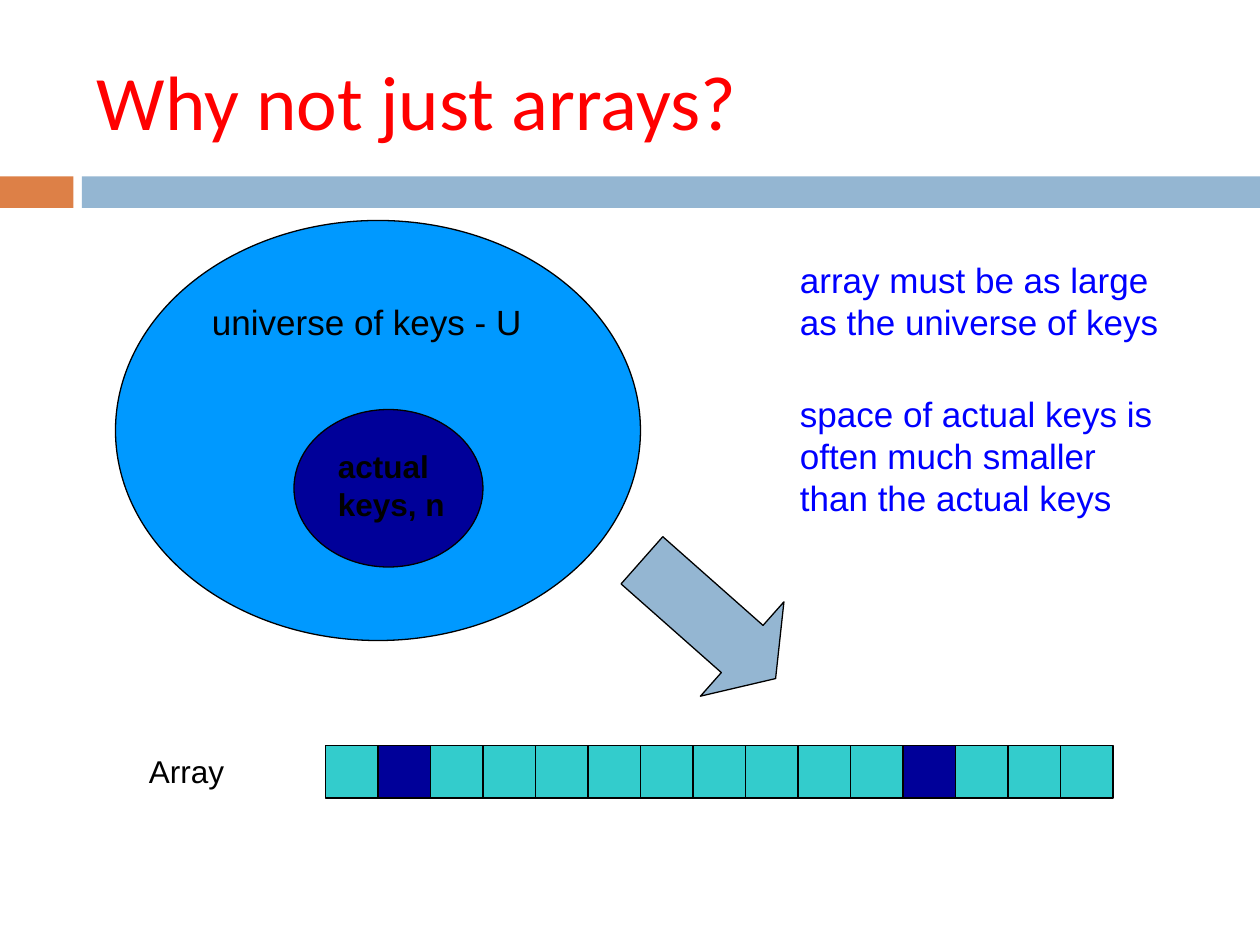
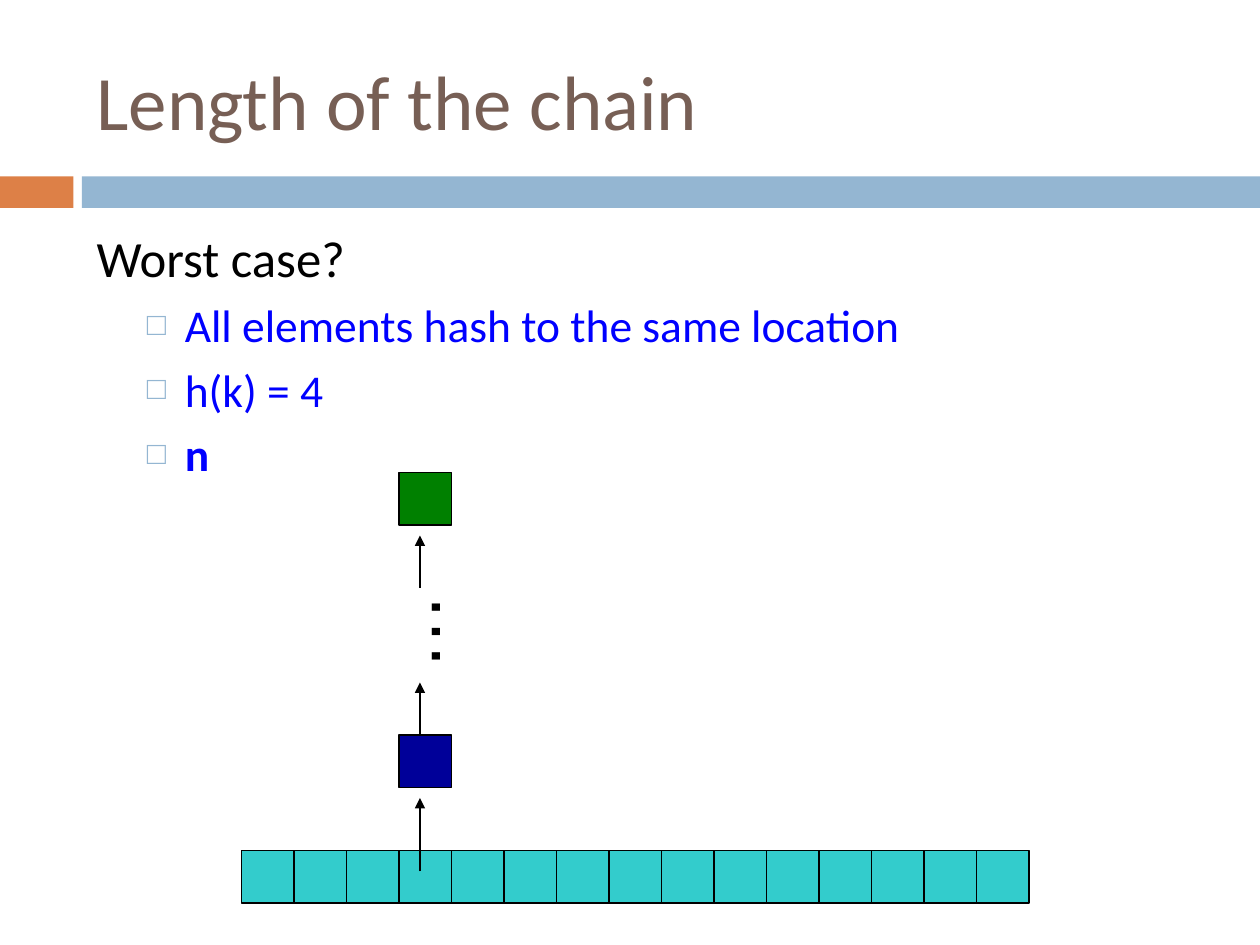
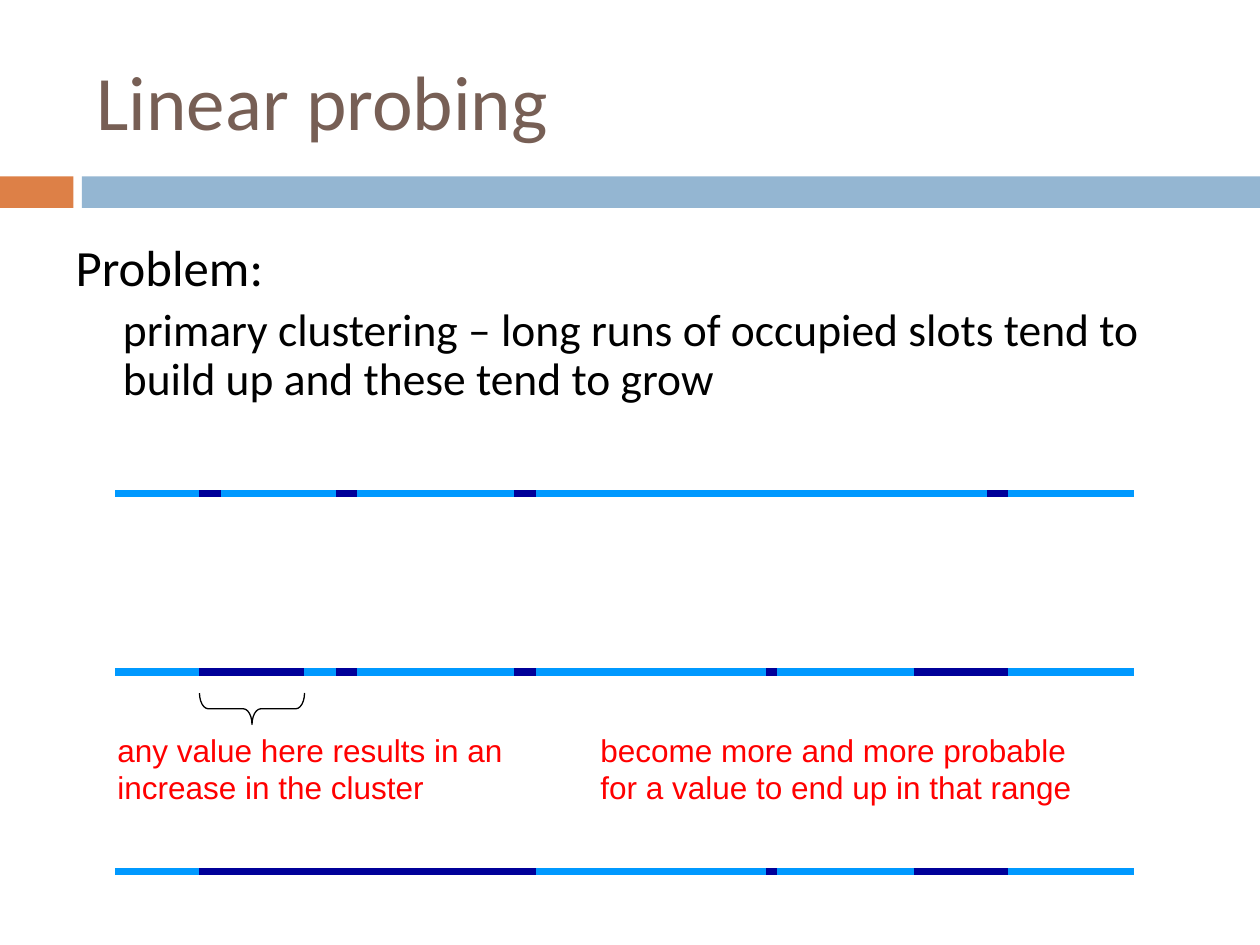
from dataclasses import dataclass

from lxml import etree
from pptx import Presentation
from pptx import util as u
from pptx.dml.color import RGBColor
from pptx.enum import shapes, text
from pptx.oxml.ns import qn


@dataclass(frozen=True)
class Theme:
    heading_font: str = "Calibri"
    label_font: str = "Arial"
    title_size: float = 44
    lead_size: float = 29
    point_size: float = 26
    caption_size: float = 20
    small_size: float = 18
    hairline: float = 0.75
    track: float = 4.5
    black: str = "000000"
    brown: str = "775F55"
    red: str = "FF0000"
    blue: str = "0000FF"
    orange: str = "DD8047"
    steel: str = "94B6D2"
    sky: str = "0099FF"
    navy: str = "000099"
    teal: str = "33CCCC"
    green: str = "008000"


theme = Theme()
PRESET = shapes.MSO_SHAPE


def draw(parent, preset, box, fill=None, outline=theme.black, rotation=0, adjust=()):
    """Add a preset shape; box is left, top, width and height in points."""
    shape = parent.shapes.add_shape(preset, *map(u.Pt, box))
    shape.shadow.inherit = False
    shape.rotation = rotation
    for index, value in enumerate(adjust):
        shape.adjustments[index] = value
    if fill:
        shape.fill.solid()
        shape.fill.fore_color.rgb = RGBColor.from_string(fill)
    else:
        shape.fill.background()
    if outline:
        shape.line.color.rgb = RGBColor.from_string(outline)
        shape.line.width = u.Pt(theme.hairline)
    else:
        shape.line.fill.background()
    return shape


def stroke(parent, ends, color=theme.black, width=theme.hairline, arrow=False):
    """Add a straight line; ends is x1, y1, x2 and y2 in points."""
    line = parent.shapes.add_connector(shapes.MSO_CONNECTOR.STRAIGHT, *map(u.Pt, ends))
    line.line.color.rgb = RGBColor.from_string(color)
    line.line.width = u.Pt(width)
    properties = line.element.spPr
    if arrow:
        etree.SubElement(properties.find(qn("a:ln")), qn("a:tailEnd"), type="triangle")
    etree.SubElement(properties, qn("a:effectLst"))


deck = Presentation()
deck.slide_width, deck.slide_height = u.Pt(720), u.Pt(540)
content_layout, title_layout = deck.slide_layouts[1], deck.slide_layouts[5]

# Slides and titles
titles = [
    (title_layout, "Why not just arrays?", theme.red),
    (content_layout, "Length of the chain", theme.brown),
    (content_layout, "Linear probing", theme.brown),
]
for layout, wording, color in titles:
    title = deck.slides.add_slide(layout).shapes.title
    title.left, title.top, title.width, title.height = map(u.Pt, (48, 18, 642, 78))
    title.text_frame.text = wording
    title.text_frame.vertical_anchor = text.MSO_ANCHOR.MIDDLE
    heading = title.text_frame.paragraphs[0]
    heading.alignment = text.PP_ALIGN.LEFT
    heading.font.name = theme.heading_font
    heading.font.size = u.Pt(theme.title_size)
    heading.font.color.rgb = RGBColor.from_string(color)
arrays, chain, probing = deck.slides

# Bands shared through the master
master_tree = deck.slide_master.element.cSld.spTree
bands = [(0, 42, theme.orange), (46.8, 673.2, theme.steel)]
for number, (left, width, color) in enumerate(bands):
    band = draw(arrays, PRESET.RECTANGLE, (left, 100.8, width, 18), color, None)
    band.element.nvSpPr.cNvPr.id = 20 + number
    master_tree.insert(2, band.element)

# Body lists: wording, level, colour, bold, bullet
bodies = [
    (chain, (48, 126, 642, 354), 1, (50.4, -21.6), [
        ("Worst case?", 0, theme.black, False, None),
        ("All elements hash to the same location", 1, theme.blue, False, "□"),
        ("h(k) = 4", 1, theme.blue, False, "□"),
        ("n", 1, theme.blue, True, "□"),
    ]),
    (probing, (36, 135, 648, 111), 0.9, (27, 0), [
        ("Problem:", 0, theme.black, False, None),
        ("primary clustering – long runs of occupied slots tend to build up "
         "and these tend to grow", 1, theme.black, False, None),
    ]),
]
for slide, box, line_spacing, indents, items in bodies:
    body = slide.placeholders[1]
    body.left, body.top, body.width, body.height = map(u.Pt, box)
    frame = body.text_frame
    frame.text = "\n".join(item[0] for item in items)
    frame.auto_size = text.MSO_AUTO_SIZE.NONE
    for paragraph, (_, level, color, bold, bullet) in zip(frame.paragraphs, items):
        paragraph.level = level
        paragraph.line_spacing = line_spacing
        paragraph.space_before = u.Pt(5.5 if level else 7)
        size = theme.point_size if level else theme.lead_size
        font_values = {"name": theme.heading_font, "size": u.Pt(size), "bold": bold}
        for attribute, value in font_values.items():
            setattr(paragraph.font, attribute, value)
        paragraph.font.color.rgb = RGBColor.from_string(color)
        properties = paragraph.element.get_or_add_pPr() if hasattr(paragraph, "element") \
            else paragraph._p.get_or_add_pPr()
        margin, hanging = indents if level else (0, 0)
        properties.set("marL", str(int(u.Pt(margin))))
        properties.set("indent", str(int(u.Pt(hanging))))
        if bullet:
            bullet_color = etree.Element(qn("a:buClr"))
            etree.SubElement(bullet_color, qn("a:srgbClr"), val=theme.steel)
            bullet_size = etree.Element(qn("a:buSzPct"), val="70000")
            bullet_mark = etree.Element(qn("a:buChar"), char=bullet)
            marks = [bullet_color, bullet_size, bullet_mark]
        else:
            marks = [etree.Element(qn("a:buNone"))]
        for position, mark in enumerate(marks):
            properties.insert(2 + position, mark)

# Hash arrays of 15 square slots
slot, slots = 30, 15
for slide, left, top in [(arrays, 186, 426), (chain, 138, 486)]:
    table = slide.shapes.add_group_shape()
    draw(table, PRESET.RECTANGLE, (left, top, slot * slots, slot), theme.teal)
    for index in range(1, slots):
        x = left + index * slot
        stroke(table, (x, top, x, top + slot))

# Universe of keys mapped to the array
draw(arrays, PRESET.OVAL, (66, 126, 300, 240), theme.sky)
draw(arrays, PRESET.RIGHT_ARROW, (354, 318, 102, 72), theme.steel,
     rotation=41.5, adjust=(0.5, 0.354))
for used in (1, 11):
    draw(arrays, PRESET.RECTANGLE, (186 + used * slot, 426, slot, slot), theme.navy)
draw(arrays, PRESET.OVAL, (168, 234, 108, 90), theme.navy)

# Chain growing out of one slot
for start, end in [(498, 456), (420, 390), (336, 306)]:
    stroke(chain, (240, start, 240, end), arrow=True)
for top, color in [(420, theme.navy), (270, theme.green)]:
    draw(chain, PRESET.RECTANGLE, (228, top, slot, slot), color)

# Occupied runs at three moments
single_runs = [(192, 204), (294, 306)]
late_runs = single_runs + [(522, 576), (438, 444)]
moments = [
    (282, [(114, 126)] + single_runs + [(564, 576)]),
    (384, [(114, 174)] + late_runs),
    (498, [(114, 306)] + late_runs),
]
for y, runs in moments:
    track = probing.shapes.add_group_shape()
    stroke(track, (66, y, 648, y), theme.sky, theme.track)
    for start, end in runs:
        stroke(track, (start, y, end, y), theme.navy, theme.track)
draw(probing, PRESET.LEFT_BRACE, (135, 375, 18, 60), rotation=270, adjust=(0.278, 0.5))

# Captions: slide, box, wording, size, colour, bold, rotation
captions = [
    (arrays, (78, 426, 60, 29), "Array", theme.small_size, theme.black, False, 0),
    (arrays, (450, 144, 228, 55), "array must be as large as the universe of keys",
     theme.caption_size, theme.blue, False, 0),
    (arrays, (450, 221, 228, 79),
     "space of actual keys is often much smaller than the actual keys",
     theme.caption_size, theme.blue, False, 0),
    (arrays, (186, 252, 102, 50), "actual\vkeys, n", theme.small_size, theme.black, True, 0),
    (arrays, (114, 168, 198, 31), "universe of keys - U",
     theme.caption_size, theme.black, False, 0),
    (chain, (198, 324, 72, 60), "…", theme.title_size, theme.black, False, 270),
    (probing, (60, 414, 294, 50), "any value here results in an increase in the cluster",
     theme.small_size, theme.red, False, 0),
    (probing, (336, 414, 294, 50),
     "become more and more probable for a value to end up in that range",
     theme.small_size, theme.red, False, 0),
]
for slide, box, wording, size, color, bold, rotation in captions:
    caption = slide.shapes.add_textbox(*map(u.Pt, box))
    caption.rotation = rotation
    caption.text_frame.word_wrap = True
    caption.text_frame.text = wording
    font = caption.text_frame.paragraphs[0].font
    font_values = {"name": theme.label_font, "size": u.Pt(size), "bold": bold}
    for attribute, value in font_values.items():
        setattr(font, attribute, value)
    font.color.rgb = RGBColor.from_string(color)

deck.save("out.pptx")
